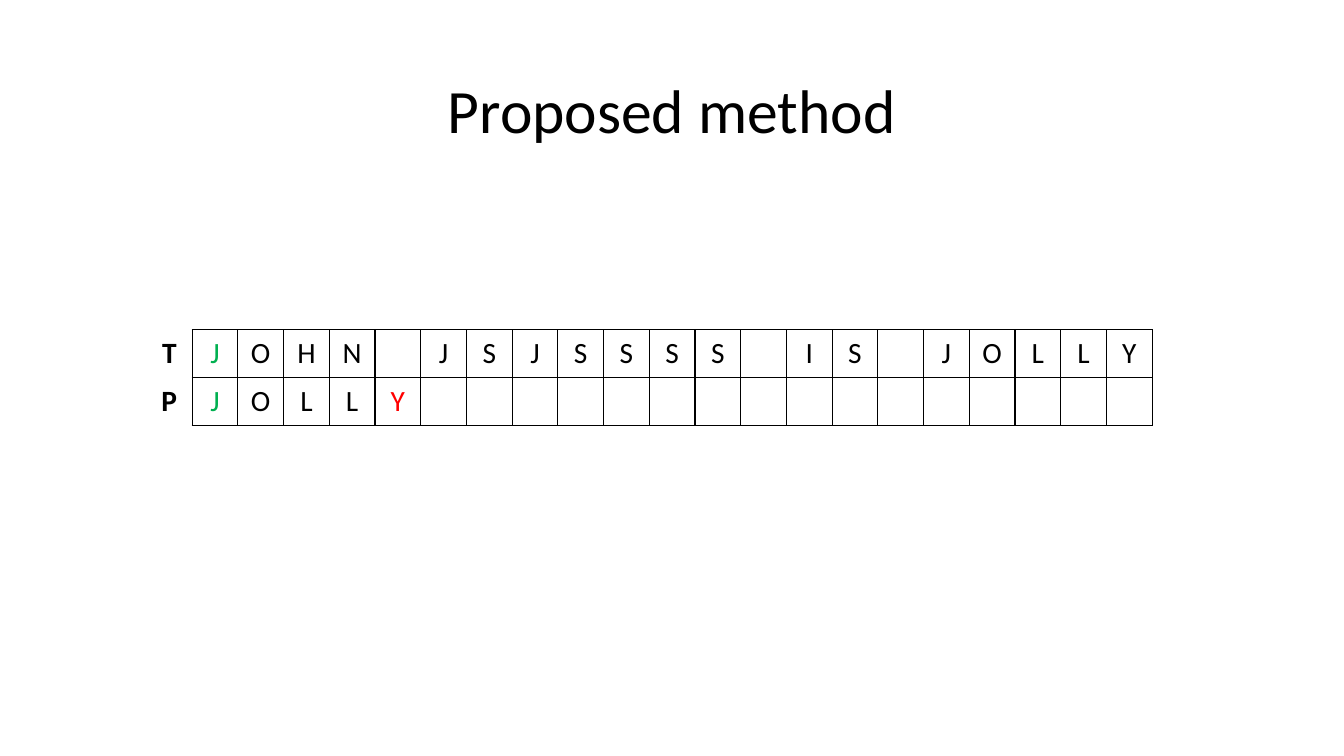
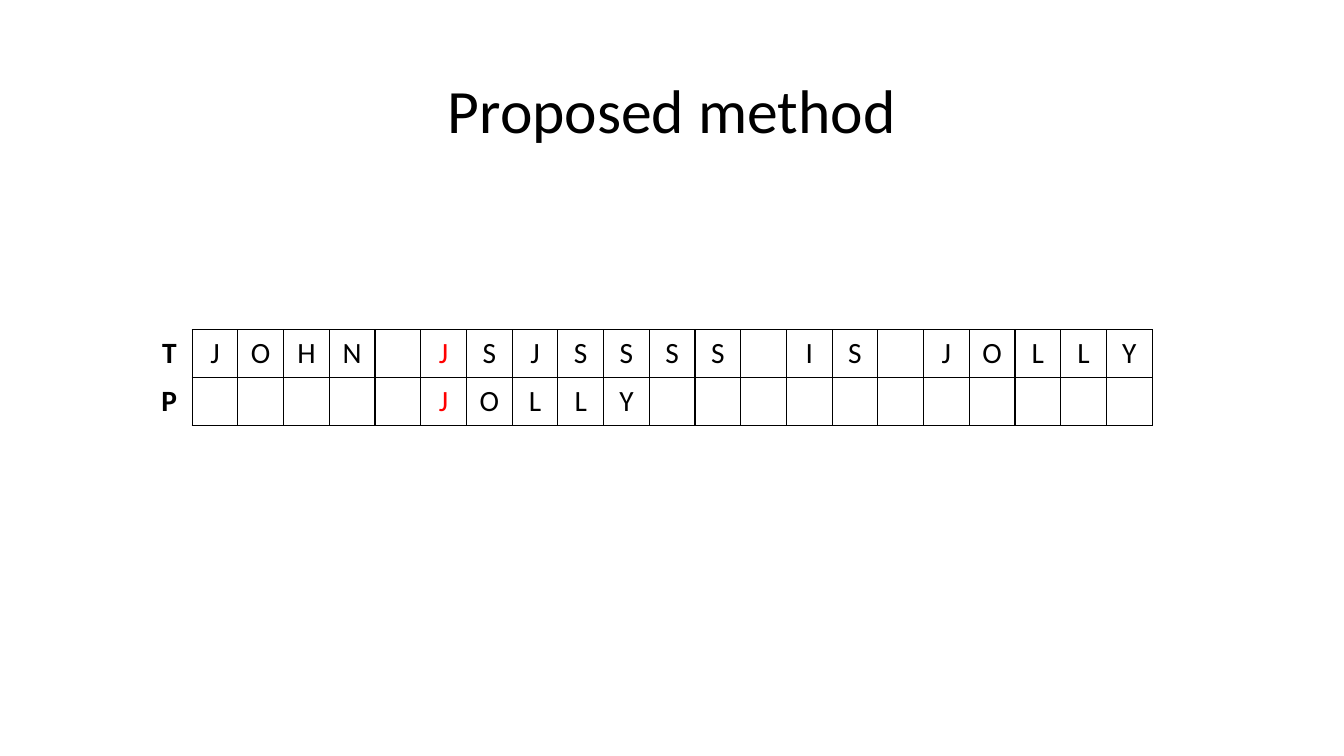
import pptx
import pptx.dml.color
import pptx.enum.text
import pptx.oxml.ns
import pptx.util
from lxml import etree

Cm = pptx.util.Cm
Pt = pptx.util.Pt
RGBColor = pptx.dml.color.RGBColor
ALIGN = pptx.enum.text.PP_ALIGN
ANCHOR = pptx.enum.text.MSO_ANCHOR
qn = pptx.oxml.ns.qn

BLACK = RGBColor(0x00, 0x00, 0x00)
GREEN = RGBColor(0x00, 0xB0, 0x50)
RED = RGBColor(0xFF, 0x00, 0x00)

FONT = "Calibri"
TITLE_FORMAT = {"name": FONT, "size": Pt(44), "bold": False}
LETTER_FORMAT = {"name": FONT, "size": Pt(21), "bold": False}
LABEL_FORMAT = {**LETTER_FORMAT, "bold": True}
CELL_FORMAT = {
    "margin_left": Cm(0.3),
    "margin_right": Cm(0.3),
    "margin_top": Cm(0.15),
    "margin_bottom": Cm(0.15),
}
PLAIN_TABLE_STYLE = "{2D5ABB26-0587-4C30-8999-92F81FD0307C}"

TITLE = "Proposed method"
TEXT = "JOHN JSJSSSS IS JOLLY"
PATTERN = "JOLLY"

# Each step: pattern shift, coloured text letters, coloured pattern letters
STEPS = [
    (0, {0: GREEN}, {0: GREEN, 4: RED}),
    (5, {5: RED}, {5: RED}),
]


def apply_format(target, values):
    for name, value in values.items():
        setattr(target, name, value)


def write(frame, text, font_format, color=BLACK):
    """Write one centred paragraph."""
    para = frame.paragraphs[0]
    para.alignment = ALIGN.CENTER
    span = para.add_run()
    span.text = text
    apply_format(span.font, font_format)
    span.font.color.rgb = color
    return para


def add_title(page):
    box = page.shapes.add_textbox(Cm(2.33), Cm(1.01), Cm(29.21), Cm(3.68))
    box.text_frame.word_wrap = True
    box.text_frame.vertical_anchor = ANCHOR.MIDDLE
    write(box.text_frame, TITLE, TITLE_FORMAT).line_spacing = 0.9


def add_borders(cell, sides):
    """Draw borders on the given sides, in the order L, R, T, B."""
    properties = cell._tc.get_or_add_tcPr()
    for side in sides:
        line = etree.SubElement(properties, qn(f"a:ln{side}"), w=str(Pt(1)))
        fill = etree.SubElement(line, qn("a:solidFill"))
        etree.SubElement(fill, qn("a:srgbClr"), val=str(BLACK))


def fill_cell(cell, text, font_format, color, sides):
    apply_format(cell, CELL_FORMAT)
    add_borders(cell, sides)
    cell.fill.background()
    if text.strip():
        write(cell.text_frame, text, font_format, color)


def add_alignment_table(page, shift, text_colors, pattern_colors):
    """Show the text above the pattern moved right by shift letters."""
    rows = [
        ("T", TEXT, text_colors),
        ("P", (" " * shift + PATTERN).ljust(len(TEXT)), pattern_colors),
    ]
    column_count = len(TEXT) + 1
    width, row_height = Cm(25.35), Cm(1.21)
    frame = page.shapes.add_table(
        len(rows), column_count, Cm(3.69), Cm(8.31), width, row_height * len(rows)
    )
    table = frame.table
    table.first_row = table.horz_banding = False
    table._tbl.tblPr.find(qn("a:tableStyleId")).text = PLAIN_TABLE_STYLE
    for column in table.columns:
        column.width = width // column_count
    for row_index, (label, letters, colors) in enumerate(rows):
        table.rows[row_index].height = row_height
        fill_cell(table.cell(row_index, 0), label, LABEL_FORMAT, BLACK, "R")
        for index, letter in enumerate(letters):
            cell = table.cell(row_index, index + 1)
            fill_cell(cell, letter, LETTER_FORMAT, colors.get(index, BLACK), "LRTB")


def main():
    deck = pptx.Presentation()
    deck.slide_width, deck.slide_height = Cm(33.87), Cm(19.05)
    blank = deck.slide_layouts[6]
    for shift, text_colors, pattern_colors in STEPS:
        page = deck.slides.add_slide(blank)
        add_title(page)
        add_alignment_table(page, shift, text_colors, pattern_colors)
    deck.save("out.pptx")


if __name__ == "__main__":
    main()
